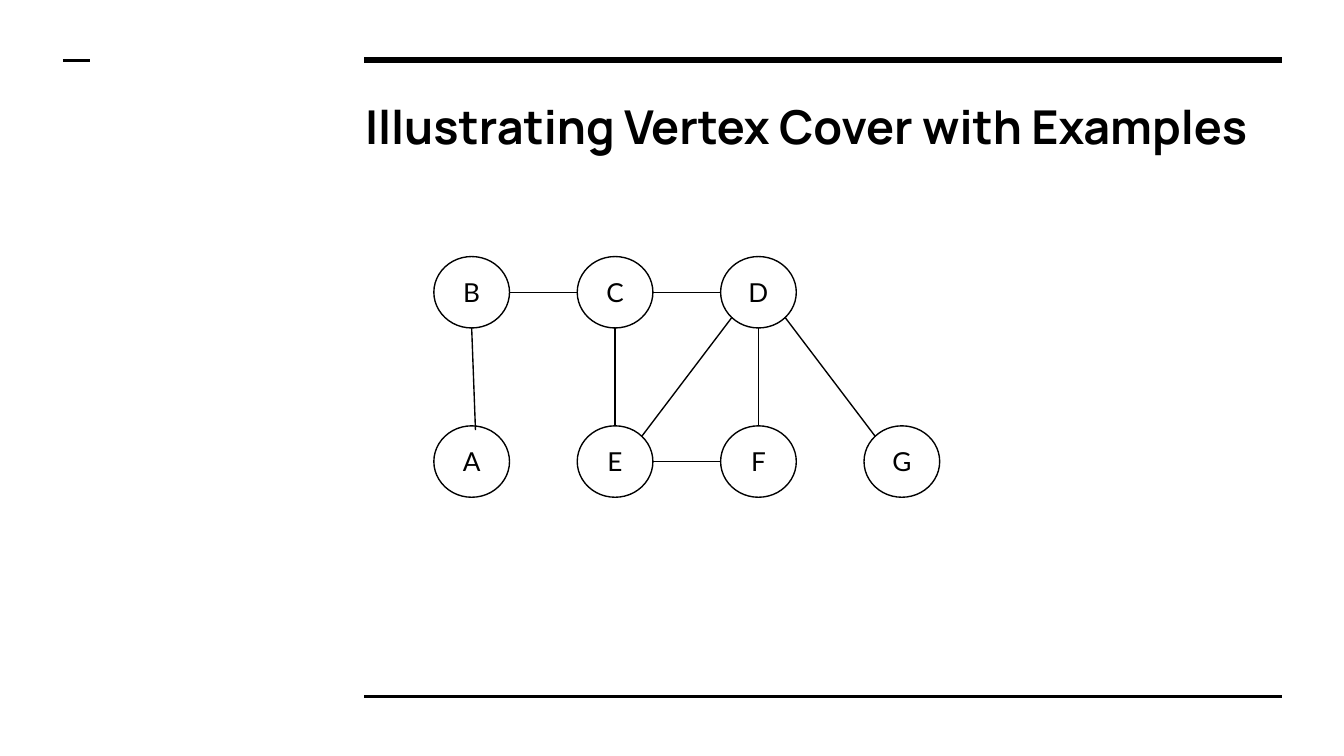
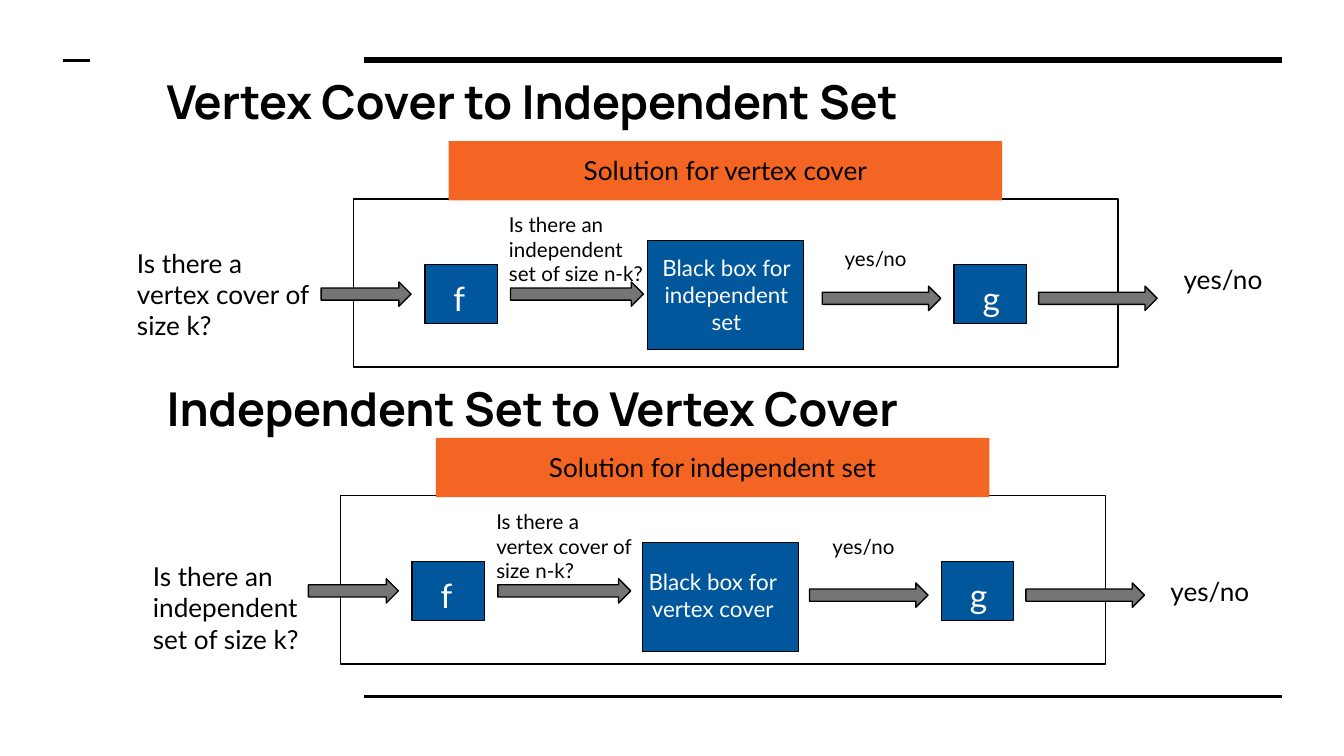
from dataclasses import dataclass

from lxml import etree
from pptx import Presentation
from pptx.dml.color import RGBColor
from pptx.enum.shapes import MSO_CONNECTOR, MSO_SHAPE
from pptx.enum.text import MSO_ANCHOR, PP_ALIGN
from pptx.oxml.ns import qn
from pptx.util import Cm, Pt

STRAIGHT = MSO_CONNECTOR.STRAIGHT
RECT, OVAL, ARROW = MSO_SHAPE.RECTANGLE, MSO_SHAPE.OVAL, MSO_SHAPE.RIGHT_ARROW
TOP, MIDDLE = MSO_ANCHOR.TOP, MSO_ANCHOR.MIDDLE
LEFT, CENTER = PP_ALIGN.LEFT, PP_ALIGN.CENTER


@dataclass(frozen=True)
class Theme:
    ink: str = "000000"
    paper: str = "FFFFFF"
    blue: str = "01579B"
    orange: str = "F46524"
    gray: str = "757575"
    heading_font: str = "Manrope"
    body_font: str = "Lato"
    title: float = 25
    letter: float = 18
    body: float = 14
    box: float = 12
    label: float = 11
    thin: float = 0.75
    medium: float = 1.5
    thick: float = 3
    inset: float = 0.25


theme = Theme()


def add_block(slide, area, text="", kind=None, fill=None, outline=True, size=theme.body,
              color=theme.ink, font=theme.body_font, bold=False, align=LEFT, anchor=TOP):
    lengths = [Cm(value) for value in area]
    if kind is None:
        block = slide.shapes.add_textbox(*lengths)
    else:
        block = slide.shapes.add_shape(kind, *lengths)
        block.shadow.inherit = False
        if fill:
            block.fill.solid()
            block.fill.fore_color.rgb = RGBColor.from_string(fill)
        else:
            block.fill.background()
        if outline:
            block.line.color.rgb = RGBColor.from_string(theme.ink)
            block.line.width = Pt(theme.thin)
        else:
            block.line.fill.background()
    if text:
        frame = block.text_frame
        frame.word_wrap = True
        frame.vertical_anchor = anchor
        frame.margin_left = frame.margin_right = Cm(theme.inset)
        frame.margin_top = frame.margin_bottom = Cm(theme.inset)
        paragraph = frame.paragraphs[0]
        paragraph.alignment = align
        run = paragraph.add_run()
        run.text = text
        run.font.name = font
        run.font.size = Pt(size)
        run.font.bold = bold
        run.font.color.rgb = RGBColor.from_string(color)


def add_line(slide, start, end, width=theme.thin):
    line = slide.shapes.add_connector(STRAIGHT, *[Cm(value) for value in (*start, *end)])
    line.line.color.rgb = RGBColor.from_string(theme.ink)
    line.line.width = Pt(width)
    etree.SubElement(line._element.spPr, qn("a:effectLst"))


heading = dict(size=theme.title, font=theme.heading_font, bold=True)

deck = Presentation()
deck.slide_width, deck.slide_height = Cm(25.4), Cm(14.29)
example, reductions = [deck.slides.add_slide(deck.slide_layouts[6]) for _ in range(2)]

for slide in (example, reductions):
    add_line(slide, (6.88, 1.14), (24.23, 1.14), theme.thick)
    add_line(slide, (6.88, 13.16), (24.23, 13.16), theme.medium)
    add_line(slide, (1.19, 1.14), (1.7, 1.14), theme.medium)

add_block(example, (6.65, 1.6, 17.55, 1.75), "Illustrating Vertex Cover with Examples", **heading)

node_width, node_height = 1.43, 1.35
vertices = {}
for top, names in ((4.85, "BCD"), (8.05, "AEFG")):
    for column, name in enumerate(names):
        vertices[name] = (8.2 + 2.71 * column, top)
        add_block(example, (*vertices[name], node_width, node_height), name, kind=OVAL,
                  fill=theme.paper, align=CENTER, anchor=MIDDLE)

ports = {
    "top": (0.5, 0), "bottom": (0.5, 1), "left": (0, 0.5), "right": (1, 0.5),
    "top left": (0.15, 0.15), "top right": (0.85, 0.15),
    "bottom left": (0.15, 0.85), "bottom right": (0.85, 0.85),
    "inner top": (0.55, 0.06),
}
edges = [
    ("A", "inner top", "B", "bottom"),
    ("C", "right", "D", "left"),
    ("C", "bottom", "E", "top"),
    ("E", "right", "F", "left"),
    ("E", "top right", "D", "bottom left"),
    ("D", "bottom right", "G", "top left"),
    ("F", "top", "D", "bottom"),
    ("B", "right", "C", "left"),
]
for first, first_port, second, second_port in edges:
    start, end = [
        (vertices[name][0] + node_width * ports[port][0],
         vertices[name][1] + node_height * ports[port][1])
        for name, port in ((first, first_port), (second, second_port))
    ]
    add_line(example, start, end)

flows = [
    dict(title="Vertex Cover to Independent Set", title_top=1.12, shift=(0, 0),
         solution="Solution for vertex cover",
         question="Is there a vertex cover of size k?", question_at=(2.34, 4.42),
         converted="Is there an independent set of size n-k?",
         solver="Black box for independent set", solver_at=(12.24, 4.55),
         solver_text=(12.17, 4.55, 3.12, 2.06),
         inner_answer=(14.99, 4.42, 3.12, 0.99), answer=(22.12, 4.72, 3.96, 1.12)),
    dict(title="Independent Set to Vertex Cover", title_top=6.93, shift=(-0.24, 5.61),
         solution="Solution for independent set",
         question="Is there an independent set of size k?", question_at=(2.64, 10.34),
         converted="Is there a vertex cover of size n-k?",
         solver="Black box for vertex cover", solver_at=(12.14, 10.26),
         solver_text=(11.91, 10.49, 3.12, 1.55),
         inner_answer=(14.76, 9.86, 3.12, 1.45), answer=(21.87, 10.62, 3.96, 1.7)),
]
for flow in flows:
    dx, dy = flow["shift"]
    add_block(reductions, (2.9, flow["title_top"], 21.64, 1.75), flow["title"], **heading)
    add_block(reductions, (6.68 + dx, 3.76 + dy, 14.45, 3.18), kind=RECT)
    for letter, left in (("f", 8.03), ("g", 18.03)):
        add_block(reductions, (left + dx, 5 + dy, 1.37, 1.12), kind=RECT, fill=theme.blue)
        add_block(reductions, (left + 0.29 + dx, 5 + dy, 0.79, 1.27), letter,
                  size=theme.letter, color=theme.paper)
    add_block(reductions, (*flow["solver_at"], 2.95, 2.06), kind=RECT, fill=theme.blue)
    add_block(reductions, flow["solver_text"], flow["solver"], size=theme.box,
              color=theme.paper, align=CENTER)
    for left, top, width in ((6.07, 5.33, 1.7), (9.65, 5.33, 2.51),
                             (15.54, 5.41, 2.24), (19.63, 5.41, 2.24)):
        add_block(reductions, (left + dx, top + dy, width, 0.46), kind=ARROW, fill=theme.gray)
    add_block(reductions, (*flow["question_at"], 3.96, 2.31), flow["question"])
    add_block(reductions, (9.37 + dx, 3.76 + dy, 3.12, 1.93), flow["converted"],
              size=theme.label)
    add_block(reductions, flow["inner_answer"], "yes/no", size=theme.label, align=CENTER)
    add_block(reductions, flow["answer"], "yes/no")
    add_block(reductions, (8.48 + dx, 2.67 + dy, 10.46, 1.12), flow["solution"], kind=RECT,
              fill=theme.orange, outline=False, align=CENTER)

deck.save("out.pptx")
